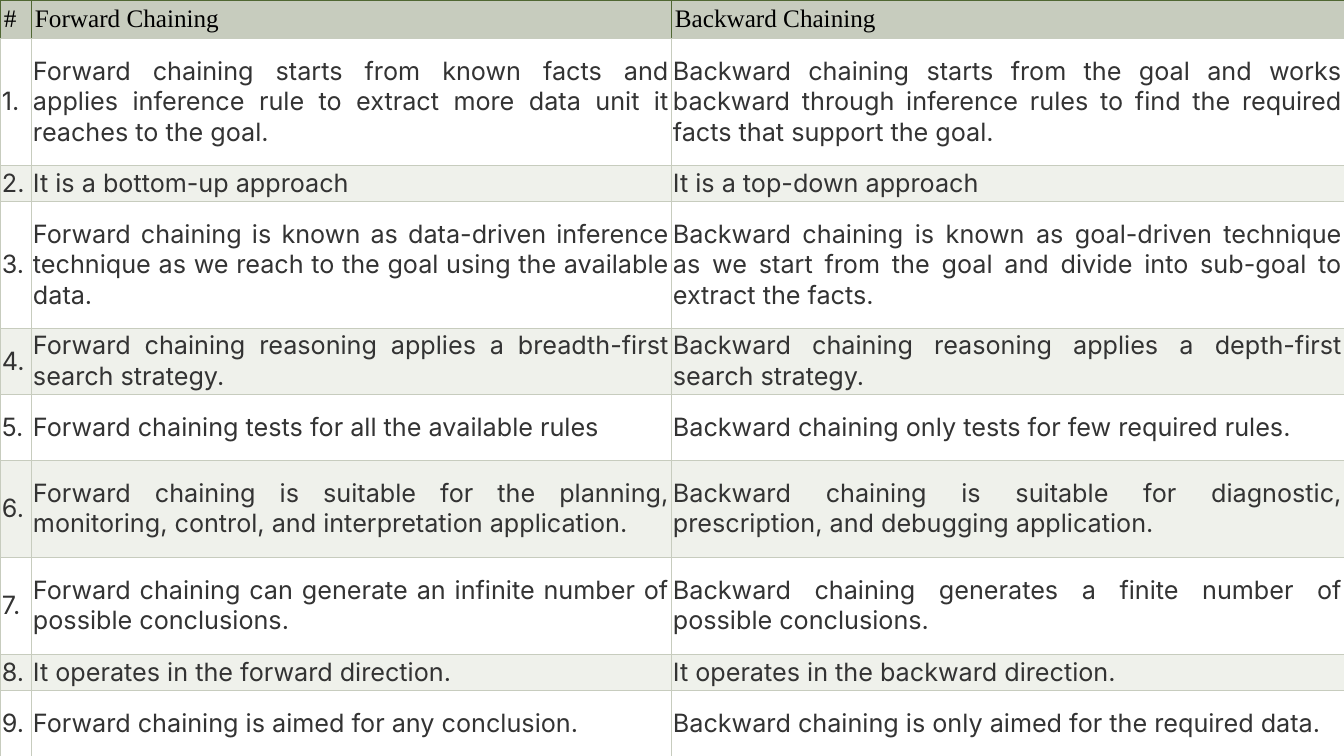
import pptx
import pptx.dml.color
import pptx.enum.text
import pptx.oxml
import pptx.oxml.ns
import pptx.util

EMU_PER_PX = 914400 / 100.8
SLIDE_WIDTH, SLIDE_HEIGHT = 1344, 756
COLUMN_WIDTHS = [31, 640, 673]
ROW_HEIGHTS = [38, 127, 36, 127, 66, 66, 97, 97, 36, 66]
BORDER_POINTS = 0.6

COLORS = {
    "header": "C7CCBE",
    "header_line": "506733",
    "header_text": "000000",
    "grid": "C7CCBE",
    "plain_row": "FFFFFF",
    "tinted_row": "EFF1EB",
    "body_text": "333333",
}

HEADINGS = ["#", "Forward Chaining", "Backward Chaining"]
COMPARISONS = [
    ("Forward chaining starts from known facts and applies inference rule to extract more data unit "
     "it reaches to the goal.",
     "Backward chaining starts from the goal and works backward through inference rules to find the "
     "required facts that support the goal."),
    ("It is a bottom-up approach", "It is a top-down approach"),
    ("Forward chaining is known as data-driven inference technique as we reach to the goal using the "
     "available data.",
     "Backward chaining is known as goal-driven technique as we start from the goal and divide into "
     "sub-goal to extract the facts."),
    ("Forward chaining reasoning applies a breadth-first search strategy.",
     "Backward chaining reasoning applies a depth-first search strategy."),
    ("Forward chaining tests for all the available rules",
     "Backward chaining only tests for few required rules."),
    ("Forward chaining is suitable for the planning, monitoring, control, and interpretation application.",
     "Backward chaining is suitable for diagnostic, prescription, and debugging application."),
    ("Forward chaining can generate an infinite number of possible conclusions.",
     "Backward chaining generates a finite number of possible conclusions."),
    ("It operates in the forward direction.", "It operates in the backward direction."),
    ("Forward chaining is aimed for any conclusion.",
     "Backward chaining is only aimed for the required data."),
]


def px(length):
    return pptx.util.Emu(round(length * EMU_PER_PX))


def rgb(name):
    return pptx.dml.color.RGBColor.from_string(COLORS[name])


def write_text(cell, text, *, font, color, size=18, alignment=None):
    paragraph = cell.text_frame.paragraphs[0]
    paragraph.alignment = alignment
    run = paragraph.add_run()
    run.text = text
    run.font.name = font
    run.font.size = pptx.util.Pt(size)
    run.font.color.rgb = rgb(color)


def set_borders(cell, side_colors):
    """Draw the cell's borders; they must precede its fill in the XML."""
    properties = cell._tc.get_or_add_tcPr()
    for side, color in side_colors.items():
        properties.append(pptx.oxml.parse_xml(
            f'<a:ln{side} {pptx.oxml.ns.nsdecls("a")} w="{pptx.util.Pt(BORDER_POINTS)}">'
            f'<a:solidFill><a:srgbClr val="{COLORS[color]}"/></a:solidFill></a:ln{side}>'))


def format_cell(cell, *, fill, margin, side_colors):
    set_borders(cell, side_colors)
    cell.fill.solid()
    cell.fill.fore_color.rgb = rgb(fill)
    cell.vertical_anchor = pptx.enum.text.MSO_ANCHOR.MIDDLE
    cell.margin_left = cell.margin_right = px(margin)
    cell.margin_top = cell.margin_bottom = px(margin)


def add_grid(slide):
    frame = slide.shapes.add_table(len(ROW_HEIGHTS), len(COLUMN_WIDTHS), 0, 0,
                                   px(SLIDE_WIDTH), px(SLIDE_HEIGHT))
    table = frame.table
    table.first_row = table.horz_banding = False
    for column, width in zip(table.columns, COLUMN_WIDTHS):
        column.width = px(width)
    for row, height in zip(table.rows, ROW_HEIGHTS):
        row.height = px(height)
    return table


def fill_header(table):
    side_colors = dict.fromkeys("LRT", "header_line") | {"B": "grid"}
    for cell, heading in zip(table.rows[0].cells, HEADINGS):
        format_cell(cell, fill="header", margin=4, side_colors=side_colors)
        write_text(cell, heading, font="Times New Roman", color="header_text")


def fill_body(table):
    for number, comparison in enumerate(COMPARISONS, start=1):
        fill = "plain_row" if number % 2 else "tinted_row"
        for cell, text in zip(table.rows[number].cells, (f"{number}.", *comparison)):
            format_cell(cell, fill=fill, margin=2, side_colors=dict.fromkeys("LRTB", "grid"))
            write_text(cell, text, font="Inter", color="body_text",
                       alignment=pptx.enum.text.PP_ALIGN.JUSTIFY)


def main():
    presentation = pptx.Presentation()
    presentation.slide_width = px(SLIDE_WIDTH)
    presentation.slide_height = px(SLIDE_HEIGHT)
    slide = presentation.slides.add_slide(presentation.slide_layouts[6])

    # Comparison table
    table = add_grid(slide)
    fill_header(table)
    fill_body(table)

    presentation.save("out.pptx")


if __name__ == "__main__":
    main()
